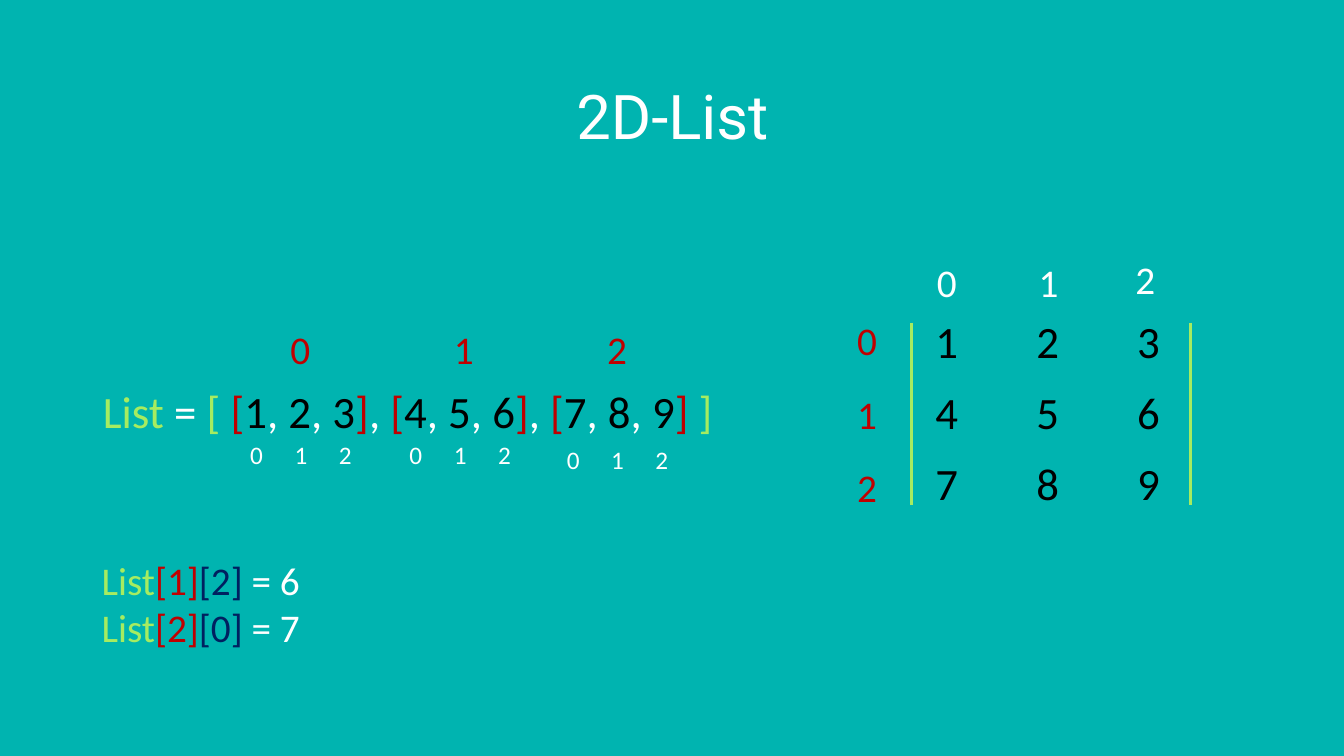
from lxml import etree
from pptx import Presentation
from pptx import util as u
from pptx.dml.color import RGBColor
from pptx.enum import shapes, text
from pptx.oxml.ns import qn

TEAL, LIME, RED = "00B4B0", "A6EC60", "C00000"
NAVY, WHITE, BLACK = "002060", "FFFFFF", "000000"
ROWS = [[1, 2, 3], [4, 5, 6], [7, 8, 9]]


def rgb(color):
    return RGBColor.from_string(color)


def format_run(r, size, color, font="Calibri"):
    r.font.size = u.Pt(size)
    r.font.name = font
    r.font.color.rgb = rgb(color)


def place(sp, left, top, width, height):
    sp.left, sp.top = u.Inches(left), u.Inches(top)
    sp.width, sp.height = u.Inches(width), u.Inches(height)


def add_box(s, left, top, width, height):
    sp = s.shapes.add_textbox(*map(u.Inches, (left, top, width, height)))
    sp.text_frame.word_wrap = True
    return sp.text_frame


def add_parts(p, parts, size):
    for words, color in parts:
        r = p.add_run()
        r.text = words
        format_run(r, size, color)


def add_index(s, number, left, top, width, height, size, color):
    tf = add_box(s, left, top, width, height)
    p = tf.paragraphs[0]
    p.text = str(number)
    p.alignment = text.PP_ALIGN.CENTER
    format_run(p.runs[0], size, color)


def add_title(s):
    sp = s.shapes.title
    place(sp, 0.92, 0.46, 11.5, 1.45)
    tf = sp.text_frame
    tf.text = "2D-List"
    tf.vertical_anchor = text.MSO_ANCHOR.MIDDLE
    p = tf.paragraphs[0]
    p.alignment = text.PP_ALIGN.CENTER
    p.line_spacing = 0.9
    format_run(p.runs[0], 44, WHITE, "Roboto")


def list_parts():
    parts = [("List ", LIME), ("= ", WHITE), ("[ ", LIME)]
    for i, row in enumerate(ROWS):
        if i:
            parts.append((", ", WHITE))
        parts.append(("[", RED))
        for j, value in enumerate(row):
            if j:
                parts += [(",", WHITE), (" ", BLACK)]
            parts.append((str(value), BLACK))
        parts.append(("]", RED))
    return parts + [(" ]", LIME)]


def add_list(s):
    sp = s.placeholders[1]
    place(sp, 0.92, 3.76, 7, 0.64)
    tf = sp.text_frame
    tf.auto_size = text.MSO_AUTO_SIZE.NONE
    p = tf.paragraphs[0]
    p.space_before = u.Pt(0)
    pPr = p._p.get_or_add_pPr()
    pPr.set("marL", "0")
    pPr.set("indent", "0")
    etree.SubElement(pPr, qn("a:buNone"))
    add_parts(p, list_parts(), 32)


def add_matrix(s):
    tf = add_box(s, 9.18, 3.06, 2.45, 2.1)
    tf.text = "\n".join("\t".join(map(str, row)) for row in ROWS)
    for p in tf.paragraphs:
        p.space_before = u.Pt(6.4)
        p.space_after = u.Pt(6)
        tabs = etree.SubElement(p._p.get_or_add_pPr(), qn("a:tabLst"))
        for stop in (1, 2):
            etree.SubElement(tabs, qn("a:tab"), pos=str(u.Inches(stop)), algn="l")
        for r in p.runs:
            format_run(r, 32, BLACK)


def add_bar(s, x):
    line = s.shapes.add_connector(
        shapes.MSO_CONNECTOR.STRAIGHT, *map(u.Inches, (x, 3.2, x, 5.01)))
    line.line.color.rgb = rgb(LIME)
    line.line.width = u.Pt(2.25)
    etree.SubElement(line._element.spPr, qn("a:effectLst"))


def add_lookups(s):
    tf = add_box(s, 0.91, 5.47, 2.2, 1.04)
    paragraphs = [tf.paragraphs[0], tf.add_paragraph()]
    for p, (row, col) in zip(paragraphs, [(1, 2), (2, 0)]):
        add_parts(p, [("List", LIME), (f"[{row}]", RED), (f"[{col}] ", NAVY),
                      (f"= {ROWS[row][col]}", WHITE)], 28)


def main():
    prs = Presentation()
    prs.slide_width, prs.slide_height = u.Inches(13.33), u.Inches(7.5)
    s = prs.slides.add_slide(prs.slide_layouts[1])
    s.background.fill.solid()
    s.background.fill.fore_color.rgb = rgb(TEAL)

    add_title(s)
    add_list(s)
    add_matrix(s)
    for i, left in enumerate((2.78, 4.4, 5.92)):
        add_index(s, i, left, 3.18, 0.4, 0.57, 28, RED)
    for left, top in ((2.38, 4.31), (3.96, 4.31), (5.52, 4.36)):
        for i in range(3):
            add_index(s, i, left + 0.44 * i, top, 0.33, 0.4, 18, WHITE)
    for i, (left, top) in enumerate(((9.19, 2.51), (10.2, 2.51), (11.16, 2.48))):
        add_index(s, i, left, top, 0.4, 0.57, 28, WHITE)
        add_index(s, i, 8.4, 3.09 + 0.73 * i, 0.4, 0.57, 28, RED)
    for x in (9.04, 11.81):
        add_bar(s, x)
    add_lookups(s)
    prs.save("out.pptx")


if __name__ == "__main__":
    main()
